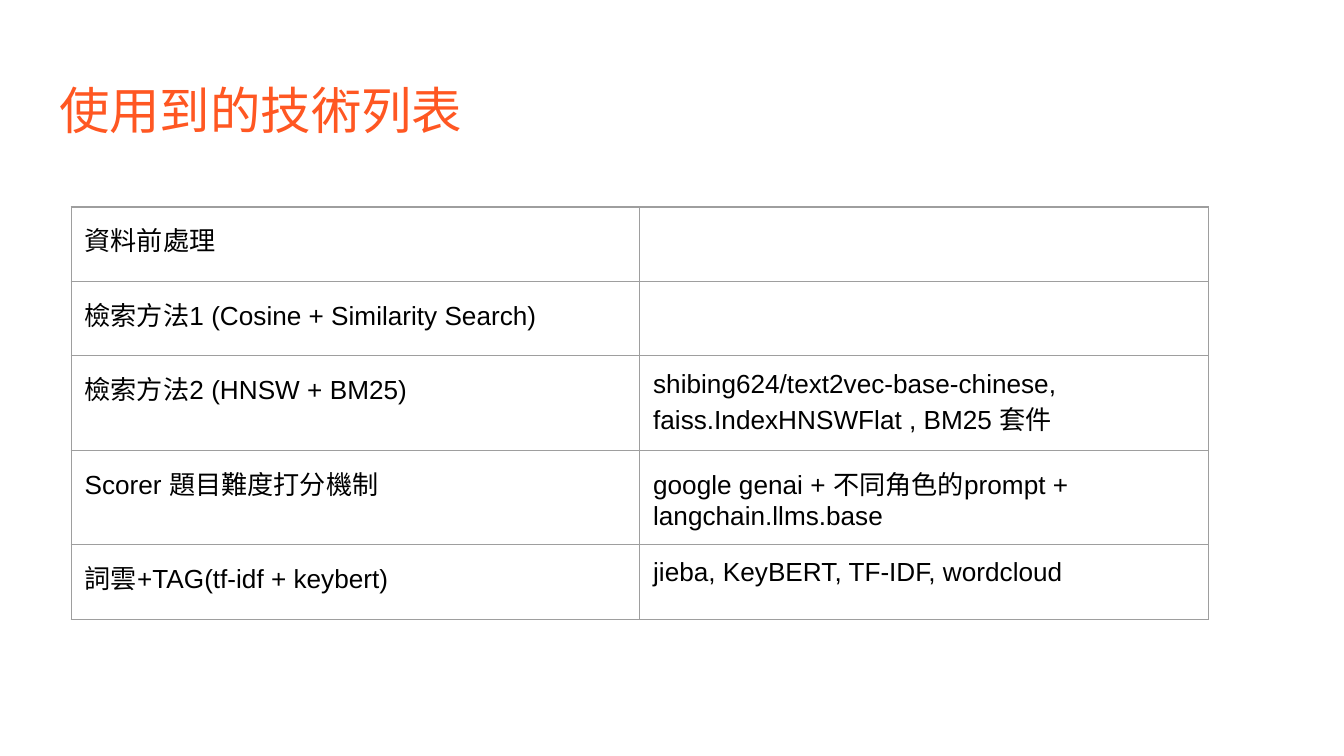
import pptx
import pptx.dml.color
import pptx.enum.text
import pptx.oxml
import pptx.oxml.ns
import pptx.util
from pptx.util import Inches

TITLE = "使用到的技術列表"
TECHNIQUES = [
    ("資料前處理", ""),
    ("檢索方法1 (Cosine + Similarity Search)", ""),
    ("檢索方法2 (HNSW + BM25)",
     "shibing624/text2vec-base-chinese, faiss.IndexHNSWFlat , BM25 套件"),
    ("Scorer 題目難度打分機制",
     "google genai + 不同角色的prompt + langchain.llms.base"),
    ("詞雲+TAG(tf-idf + keybert)", "jieba, KeyBERT, TF-IDF, wordcloud"),
]
SLIDE_WIDTH = 10
SLIDE_HEIGHT = SLIDE_WIDTH * 9 / 16
TABLE_WIDTH, TABLE_HEIGHT, MARGIN = 8.46, 2.77, 0.1
BORDER_COLOUR, BORDER_POINTS = "9E9E9E", 0.75


def set_margins(target):
    for side in ("left", "right", "top", "bottom"):
        setattr(target, f"margin_{side}", Inches(MARGIN))


def add_text(para, text, size, font, colour):
    span = para.add_run()
    span.text = text
    span.font.size = pptx.util.Pt(size)
    span.font.name = font
    span.font.bold = False
    span.font.color.rgb = pptx.dml.color.RGBColor.from_string(colour)


def add_borders(cell):
    properties = cell._tc.get_or_add_tcPr()
    width = pptx.util.Pt(BORDER_POINTS)
    for position, side in enumerate(("lnL", "lnR", "lnT", "lnB")):
        properties.insert(position, pptx.oxml.parse_xml(
            f'<a:{side} {pptx.oxml.ns.nsdecls("a")} w="{width}"><a:solidFill>'
            f'<a:srgbClr val="{BORDER_COLOUR}"/></a:solidFill></a:{side}>'))


def add_title(page):
    box = page.shapes.title
    box.left, box.top = Inches(0.34), Inches(0.49)
    box.width, box.height = Inches(9.32), Inches(0.63)
    frame = box.text_frame
    frame.word_wrap = True
    frame.auto_size = pptx.enum.text.MSO_AUTO_SIZE.NONE
    frame.vertical_anchor = pptx.enum.text.MSO_ANCHOR.TOP
    set_margins(frame)
    para = frame.paragraphs[0]
    para.alignment = pptx.enum.text.PP_ALIGN.LEFT
    add_text(para, TITLE, 27, "Roboto Slab", "FF5722")


def add_technique_table(page):
    table = page.shapes.add_table(
        len(TECHNIQUES), len(TECHNIQUES[0]), Inches(0.53), Inches(1.54),
        Inches(TABLE_WIDTH), Inches(TABLE_HEIGHT)).table
    table.first_row = False
    table.horz_banding = False
    for row, texts in enumerate(TECHNIQUES):
        for column, text in enumerate(texts):
            cell = table.cell(row, column)
            set_margins(cell)
            cell.fill.background()
            add_borders(cell)
            if text:
                add_text(cell.text_frame.paragraphs[0], text, 14, "Arial", "000000")


def main():
    """Build the slide that lists the techniques used."""
    deck = pptx.Presentation()
    deck.slide_width, deck.slide_height = Inches(SLIDE_WIDTH), Inches(SLIDE_HEIGHT)
    page = deck.slides.add_slide(deck.slide_layouts[5])
    add_title(page)
    add_technique_table(page)
    deck.save("out.pptx")


if __name__ == "__main__":
    main()
